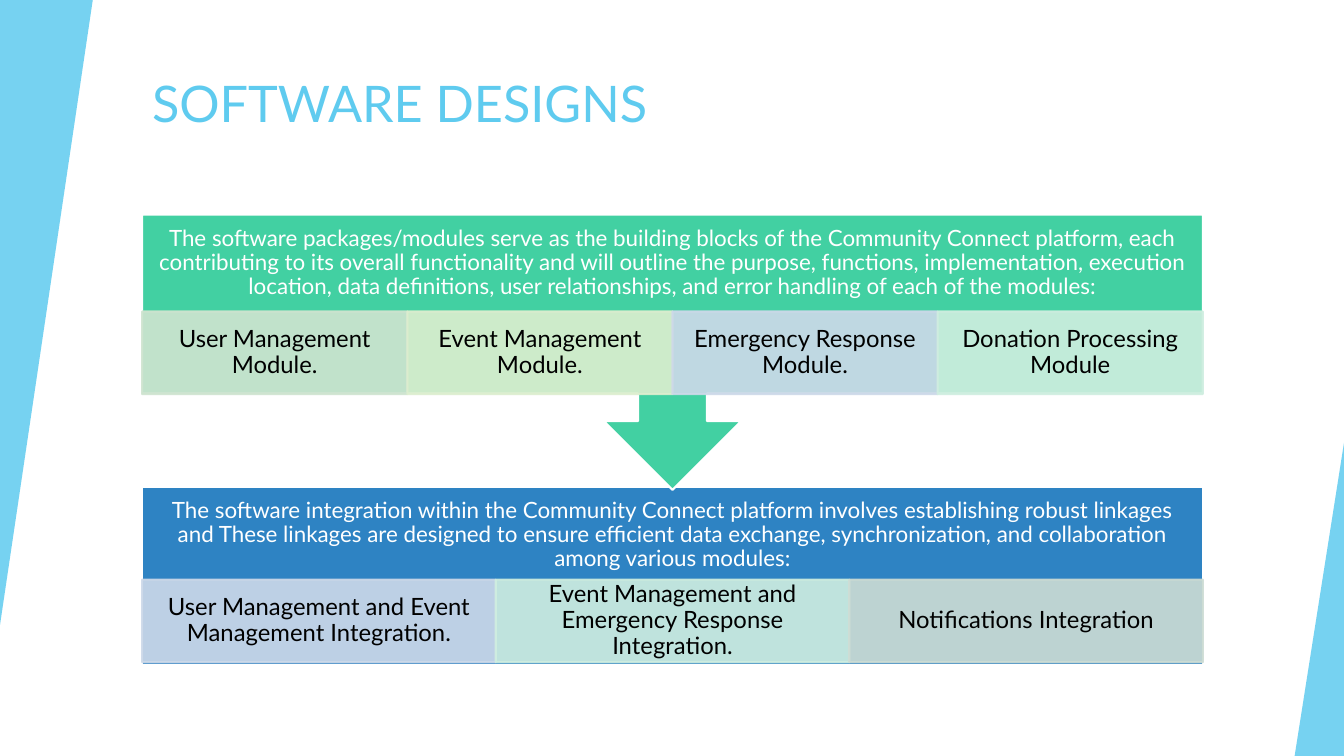
from lxml import etree
from pptx import Presentation
from pptx.dml.color import RGBColor
from pptx.enum.shapes import MSO_SHAPE
from pptx.enum.text import MSO_ANCHOR, PP_ALIGN
from pptx.oxml.ns import qn
from pptx.util import Inches, Pt

RECTANGLE = MSO_SHAPE.RECTANGLE
TRIANGLE = MSO_SHAPE.ISOSCELES_TRIANGLE
CALLOUT = MSO_SHAPE.UP_ARROW_CALLOUT
TOP, MIDDLE = MSO_ANCHOR.TOP, MSO_ANCHOR.MIDDLE
LEFT, CENTER = PP_ALIGN.LEFT, PP_ALIGN.CENTER
color = RGBColor.from_string

SKY = "5FCBEF"
WHITE = "FFFFFF"
PANEL_LEFT, PANEL_WIDTH = 1.41, 10.52
HEADER_HEIGHT, CELL_HEIGHT = 0.96, 0.82

deck = Presentation()
deck.slide_width, deck.slide_height = Inches(13.33), Inches(7.5)
page = deck.slides.add_slide(deck.slide_layouts[6])


def add_block(kind, place, fill, line=None, opacity=100, rotation=0):
    block = page.shapes.add_shape(kind, *map(Inches, place))
    block.shadow.inherit = False
    block.rotation = rotation
    block.fill.solid()
    block.fill.fore_color.rgb = color(fill)
    if line:
        block.line.color.rgb = color(line)
        block.line.width = Pt(1.5)
    else:
        block.line.fill.background()
    if opacity < 100:
        for tint in block._element.spPr.iter(qn("a:srgbClr")):
            etree.SubElement(tint, qn("a:alpha"), val=str(opacity * 1000))
    return block


def write(box, text, size, ink, insets, anchor=MIDDLE, align=CENTER, spacing=0.9):
    side, edge = map(Inches, insets)
    frame_format = {
        "word_wrap": True,
        "vertical_anchor": anchor,
        "margin_left": side,
        "margin_right": side,
        "margin_top": edge,
        "margin_bottom": edge,
    }
    for name, value in frame_format.items():
        setattr(box.text_frame, name, value)
    para = box.text_frame.paragraphs[0]
    para.alignment, para.line_spacing = align, spacing
    span = para.add_run()
    span.text = text
    span.font.name, span.font.size = "Lato", Pt(size)
    span.font.color.rgb = color(ink)


title = page.shapes.add_textbox(*map(Inches, (PANEL_LEFT, 0.67, 11.15, 1.2)))
write(title, "SOFTWARE DESIGNS", 36, SKY, (0.1, 0.05), TOP, LEFT, 1.0)

for place, rotation in (((0, 0, 0.92, 6.2), 180), ((12.84, 4.39, 0.49, 3.11), 0)):
    wedge = add_block(TRIANGLE, place, SKY, opacity=85, rotation=rotation)
    wedge.adjustments[0] = 1

panels = [
    {
        "kind": RECTANGLE, "top": 4.83, "height": 1.77, "rotation": 0,
        "fill": "2E83C3", "cell_top": 5.75,
        "header": "The software integration within the Community Connect platform "
                  "involves establishing robust linkages and These linkages are designed "
                  "to ensure efficient data exchange, synchronization, and collaboration "
                  "among various modules:",
        "cells": [
            ("User Management and Event Management Integration.", "CDD9E9"),
            ("Event Management and Emergency Response Integration.", "CFEEE0"),
            ("Notifications Integration", "CDDCD4"),
        ],
    },
    {
        "kind": CALLOUT, "top": 2.13, "height": 2.73, "rotation": 180,
        "fill": "42D0A2", "cell_top": 3.09,
        "header": "The software packages/modules serve as the building blocks of the "
                  "Community Connect platform, each contributing to its overall "
                  "functionality and will outline the purpose, functions, implementation, "
                  "execution location, data definitions, user relationships, and error "
                  "handling of each of the modules:",
        "cells": [
            ("User Management Module.", "CFE4D0"),
            ("Event Management Module.", "DDEECF"),
            ("Emergency Response Module.", "CDD9E9"),
            ("Donation Processing Module", "CFEEE0"),
        ],
    },
]

for panel in panels:
    place = (PANEL_LEFT, panel["top"], PANEL_WIDTH, panel["height"])
    add_block(panel["kind"], place, panel["fill"], WHITE, rotation=panel["rotation"])

    header_place = (PANEL_LEFT, panel["top"], PANEL_WIDTH, HEADER_HEIGHT)
    header = page.shapes.add_textbox(*map(Inches, header_place))
    write(header, panel["header"], 16, WHITE, (0.12, 0.12))

    cell_width = PANEL_WIDTH / len(panel["cells"])
    for column, (text, fill) in enumerate(panel["cells"]):
        cell_left = PANEL_LEFT + column * cell_width
        cell_place = (cell_left, panel["cell_top"], cell_width, CELL_HEIGHT)
        cell = add_block(RECTANGLE, cell_place, fill, fill, opacity=90)
        write(cell, text, 17, "000000", (0.13, 0.02))

deck.save("out.pptx")
